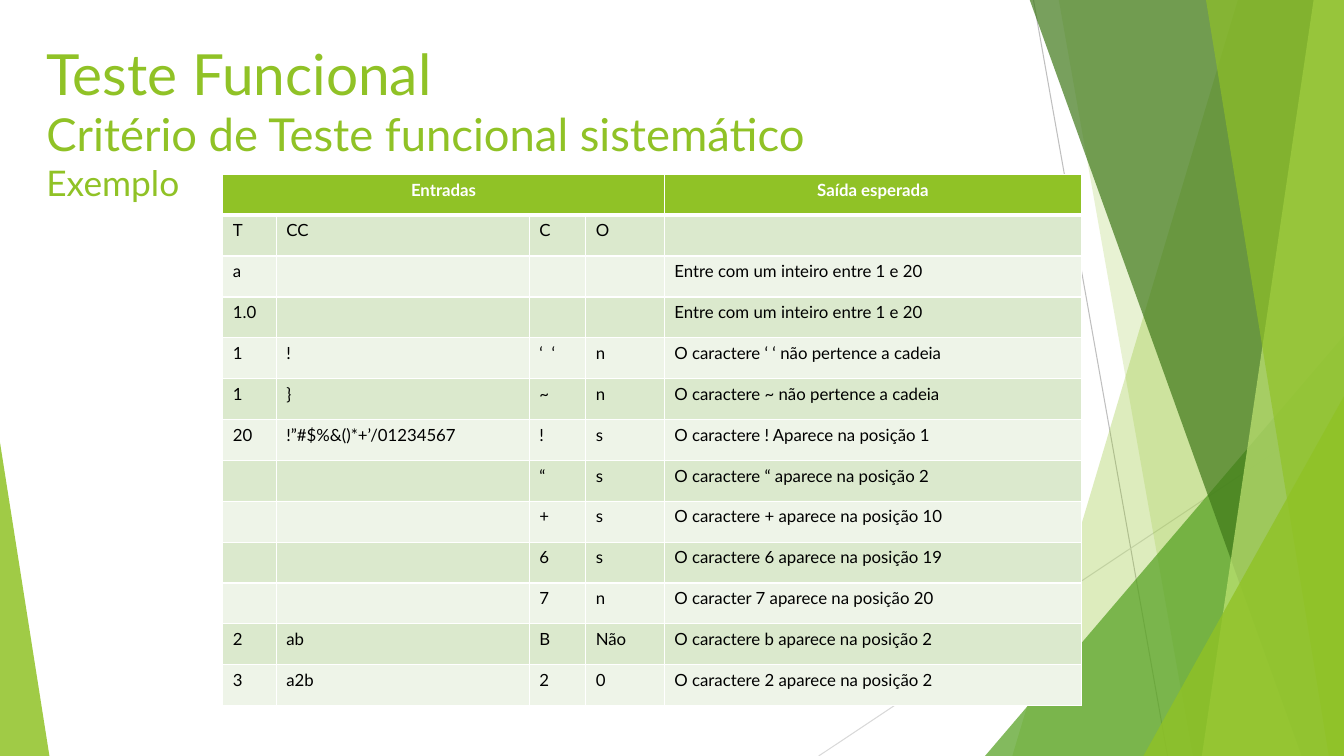
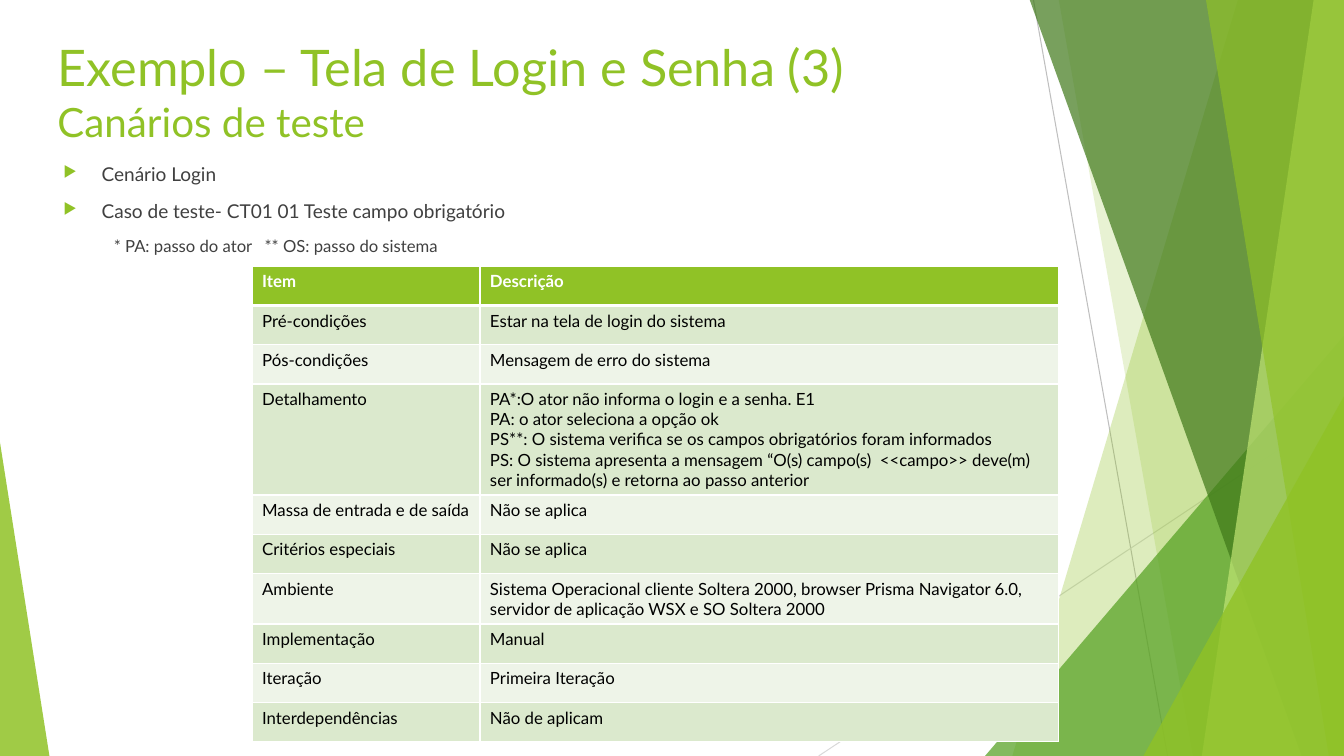
import lxml.etree
import pptx
import pptx.dml.color
import pptx.enum.shapes
import pptx.enum.text
import pptx.oxml.ns
import pptx.util

Inches = pptx.util.Inches
Pt = pptx.util.Pt
qn = pptx.oxml.ns.qn

FONT = "Lato"
GREEN = "90C226"
WHITE = "FFFFFF"
ROW_FILLS = ("EEF4E8", "DBE9CD")
SLIDE_WIDTH, SLIDE_HEIGHT = 13.33, 7.5
INSETS = {"margin_left": Inches(0.1), "margin_right": Inches(0.1),
          "margin_top": Inches(0.05), "margin_bottom": Inches(0.05)}
FRAME = {**INSETS, "word_wrap": True,
         "vertical_anchor": pptx.enum.text.MSO_ANCHOR.TOP,
         "auto_size": pptx.enum.text.MSO_AUTO_SIZE.NONE}

RAYS = [  # start, end, colour
    ((10.25, 0), (11.58, 7.5), "BFBFBF"),
    ((13.33, 4.03), (8.12, 7.5), "D9D9D9"),
]
# Bands run to the right edge: top-left x, bottom-left x, colour, opacity %
# Wedges are triangles: left, top, width, apex position, colour, opacity %
FACETS = [
    ("band", (12.28, 10.04), GREEN, 30),
    ("band", (10.5, 11.83), GREEN, 20),
    ("wedge", (9.77, 3.33, 3.56, 1), "54A021", 72),
    ("band", (10.21, 12.91), "3F7819", 70),
    ("band", (13.03, 11.92), "C0E474", 70),
    ("band", (11.96, 13.18), GREEN, 65),
    ("wedge", (11.34, 3.93, 1.99, 1), GREEN, 80),
    ("wedge", (0, 4.39, 0.49, 0), GREEN, 85),
]

FUNCTIONAL_TESTS = [
    ("Entradas", "", "", "", "Saída esperada"),
    ("T", "CC", "C", "O", ""),
    ("a", "", "", "", "Entre com um inteiro entre 1 e 20"),
    ("1.0", "", "", "", "Entre com um inteiro entre 1 e 20"),
    ("1", "!", "‘  ‘", "n", "O caractere ‘ ‘ não pertence a cadeia"),
    ("1", "}", "~", "n", "O caractere ~ não pertence a cadeia"),
    ("20", "!”#$%&()*+’/01234567", "!", "s", "O caractere ! Aparece na posição 1"),
    ("", "", "“", "s", "O caractere “ aparece na posição 2"),
    ("", "", "+", "s", "O caractere + aparece na posição 10"),
    ("", "", "6", "s", "O caractere 6 aparece na posição 19"),
    ("", "", "7", "n", "O caracter 7 aparece na posição 20"),
    ("2", "ab", "B", "Não", "O caractere b aparece na posição 2"),
    ("3", "a2b", "2", "0", "O caractere 2 aparece na posição 2"),
]
LOGIN_CASE = [
    ("Item", "Descrição"),
    ("Pré-condições", "Estar na tela de login do sistema"),
    ("Pós-condições", "Mensagem de erro do sistema"),
    ("Detalhamento",
     "PA*:O ator não informa o login e a senha. E1\n"
     "PA: o ator seleciona a opção ok\n"
     "PS**: O sistema verifica se os campos obrigatórios foram informados\n"
     "PS: O sistema apresenta a mensagem “O(s) campo(s)  <<campo>> deve(m) "
     "ser informado(s) e retorna ao passo anterior"),
    ("Massa de entrada e de saída", "Não se aplica"),
    ("Critérios especiais", "Não se aplica"),
    ("Ambiente",
     "Sistema Operacional cliente Soltera 2000, browser Prisma Navigator 6.0, "
     "servidor de aplicação WSX e SO Soltera 2000"),
    ("Implementação", "Manual"),
    ("Iteração", "Primeira Iteração"),
    ("Interdependências", "Não de aplicam"),
]


def rgb(value):
    return pptx.dml.color.RGBColor.from_string(value)


def apply(target, values):
    for name, value in values.items():
        setattr(target, name, value)


def style_runs(paragraph, size, color, bold=False):
    for run in paragraph.runs:
        apply(run.font, {"name": FONT, "size": Pt(size), "bold": bold})
        run.font.color.rgb = rgb(color)


def add_ray(shapes, start, end, color):
    ray = shapes.add_connector(pptx.enum.shapes.MSO_CONNECTOR.STRAIGHT,
                               *map(Inches, start + end))
    ray.line.color.rgb = rgb(color)
    ray.line.width = Pt(0.75)
    lxml.etree.SubElement(ray.element.find(qn("p:spPr")), qn("a:effectLst"))


def add_band(shapes, top_x, bottom_x):
    top = Inches(-0.01)
    right, bottom = Inches(SLIDE_WIDTH), Inches(SLIDE_HEIGHT)
    outline = shapes.build_freeform(Inches(top_x), top)
    outline.add_line_segments(
        [(right, top), (right, bottom), (Inches(bottom_x), bottom)])
    return outline.convert_to_shape()


def add_wedge(shapes, left, top, width, apex):
    wedge = shapes.add_shape(
        pptx.enum.shapes.MSO_SHAPE.ISOSCELES_TRIANGLE,
        *map(Inches, (left, top, width, SLIDE_HEIGHT - top)))
    wedge.adjustments[0] = apex
    return wedge


def paint(shape, color, opacity):
    shape.shadow.inherit = False
    shape.fill.solid()
    shape.fill.fore_color.rgb = rgb(color)
    shape.line.fill.background()
    lxml.etree.SubElement(shape.element.find(".//" + qn("a:srgbClr")),
                          qn("a:alpha"), val=str(opacity * 1000))


def move_backdrop_to_layout(slide):
    """Draw the facets as one group and hand it to the slide's layout."""
    backdrop = slide.shapes.add_group_shape()
    for ray in RAYS:
        add_ray(backdrop.shapes, *ray)
    builders = {"band": add_band, "wedge": add_wedge}
    for kind, geometry, color, opacity in FACETS:
        paint(builders[kind](backdrop.shapes, *geometry), color, opacity)
    for number, properties in enumerate(backdrop.element.iter(qn("p:cNvPr")), 100):
        properties.set("id", str(number))
    slide.slide_layout.shapes.element.insert(2, backdrop.element)


def set_title(slide, position, lines):
    title = slide.shapes.title
    apply(title, dict(zip(("left", "top", "width", "height"),
                          map(Inches, position))))
    frame = title.text_frame
    apply(frame, FRAME)
    frame.text = "\n".join(text for text, _ in lines)
    for paragraph, (_, size) in zip(frame.paragraphs, lines):
        paragraph.alignment = pptx.enum.text.PP_ALIGN.LEFT
        style_runs(paragraph, size, GREEN)


def indent(paragraph, margin, hanging, bullet=None):
    properties = paragraph._p.get_or_add_pPr()
    properties.set("marL", str(Inches(margin)))
    properties.set("indent", str(Inches(-hanging)))
    if bullet:
        color = lxml.etree.SubElement(properties, qn("a:buClr"))
        lxml.etree.SubElement(color, qn("a:srgbClr"), val=GREEN)
        lxml.etree.SubElement(properties, qn("a:buSzPct"), val="80000")
        lxml.etree.SubElement(properties, qn("a:buChar"), char=bullet)


def add_outline(slide, position, items):
    frame = slide.shapes.add_textbox(*map(Inches, position)).text_frame
    apply(frame, FRAME)
    frame.text = "\n".join(text for text, _ in items)
    for number, (paragraph, (_, level)) in enumerate(zip(frame.paragraphs, items)):
        if level == 0:
            indent(paragraph, 0.38, 0.38, "▶")
        else:
            paragraph.level = level
            indent(paragraph, 0.81, 0.31)
        if number:
            paragraph.space_before = Pt(10)
        style_runs(paragraph, 11.9 if level else 13.6, "404040")


def set_borders(cell, bottom):
    properties = cell._tc.get_or_add_tcPr()
    for side, width in (("L", 1), ("R", 1), ("T", 1), ("B", bottom)):
        line = lxml.etree.SubElement(properties, qn("a:ln" + side),
                                     w=str(Pt(width)))
        fill = lxml.etree.SubElement(line, qn("a:solidFill"))
        lxml.etree.SubElement(fill, qn("a:srgbClr"), val=WHITE)


def add_table(slide, left, top, widths, heights, rows, header_align):
    table = slide.shapes.add_table(
        len(rows), len(widths),
        *map(Inches, (left, top, sum(widths), sum(heights)))).table
    for column, width in zip(table.columns, widths):
        column.width = Inches(width)
    for row, height in zip(table.rows, heights):
        row.height = Inches(height)
    for r, texts in enumerate(rows):
        is_header = r == 0
        for c, text in enumerate(texts):
            cell = table.cell(r, c)
            apply(cell, {**INSETS, "text": text})
            set_borders(cell, 3 if is_header else 1)
            cell.fill.solid()
            cell.fill.fore_color.rgb = rgb(GREEN if is_header else ROW_FILLS[r % 2])
            for paragraph in cell.text_frame.paragraphs:
                if is_header:
                    paragraph.alignment = header_align
                style_runs(paragraph, 12, WHITE if is_header else "000000", is_header)
    return table


def main():
    deck = pptx.Presentation()
    deck.slide_width = Inches(SLIDE_WIDTH)
    deck.slide_height = Inches(SLIDE_HEIGHT)
    title_only = deck.slide_layouts[5]
    align = pptx.enum.text.PP_ALIGN

    functional = deck.slides.add_slide(title_only)
    move_backdrop_to_layout(functional)
    set_title(functional, (0.36, 0.33, 11.26, 1.25), [
        ("Teste Funcional", 40.5),
        ("Critério de Teste funcional sistemático", 32.4),
        ("Exemplo", 25.2),
    ])
    row_count = len(FUNCTIONAL_TESTS)
    tests = add_table(functional, 2.21, 1.73, [0.53, 2.51, 0.56, 0.78, 4.14],
                      [5.27 / row_count] * row_count, FUNCTIONAL_TESTS, align.CENTER)
    tests.cell(0, 0).merge(tests.cell(0, 3))

    login = deck.slides.add_slide(title_only)
    set_title(login, (0.47, 0.31, 10.65, 1.25), [
        ("Exemplo – Tela de Login e Senha (3)", 36),
        ("Canários de teste", 28.8),
    ])
    add_outline(login, (0.53, 1.56, 9.61, 0.94), [
        ("Cenário Login", 0),
        ("Caso de teste- CT01 01 Teste campo obrigatório", 0),
        ("* PA: passo do ator   ** OS: passo do sistema", 1),
    ])
    heights = [0.39] * len(LOGIN_CASE)
    heights[3], heights[6] = 1.1, 0.5
    add_table(login, 2.5, 2.64, [2.26, 5.74], heights, LOGIN_CASE, align.LEFT)

    deck.save("out.pptx")


if __name__ == "__main__":
    main()
